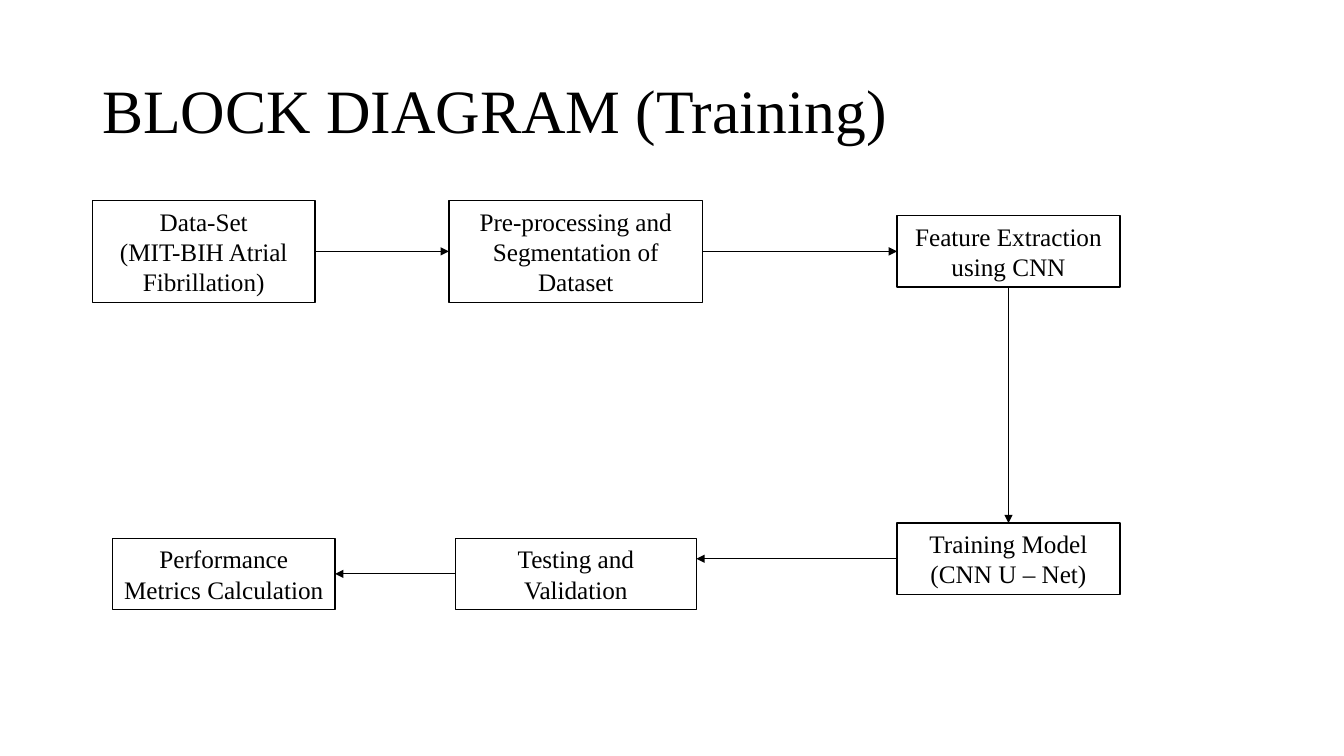
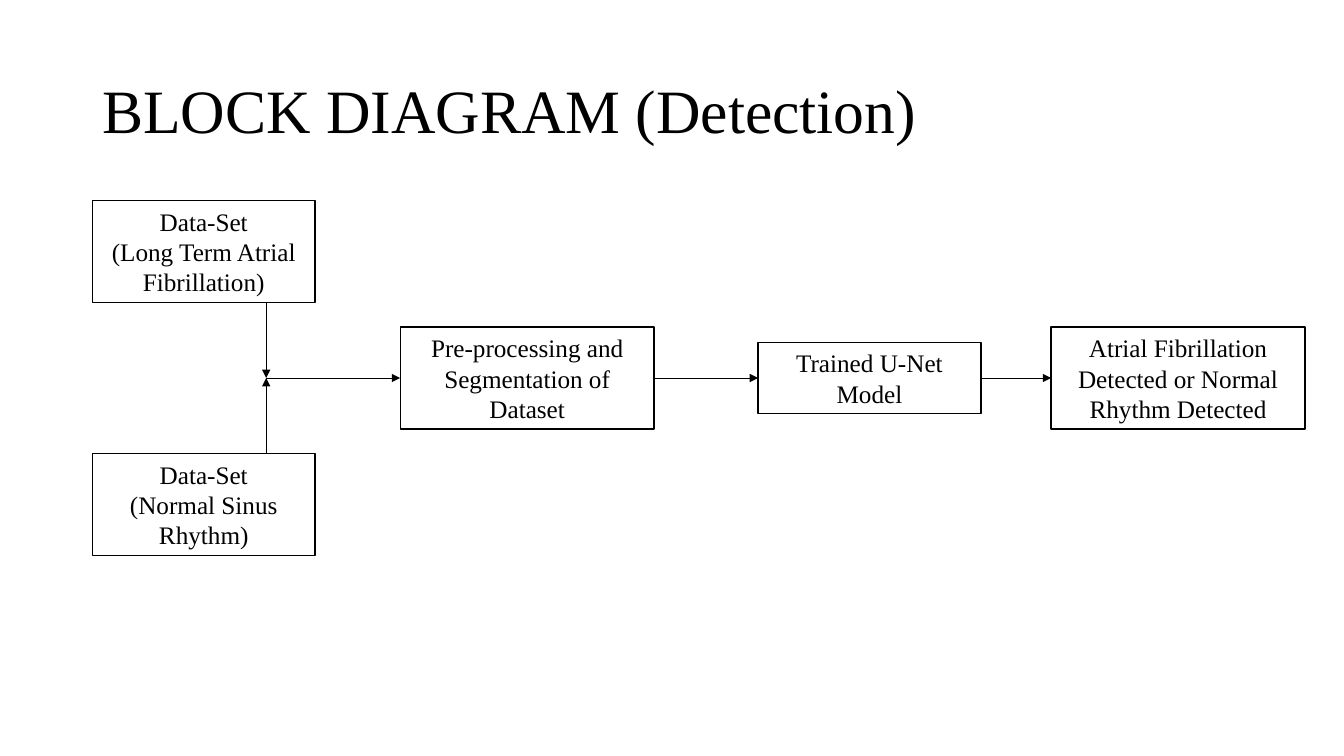
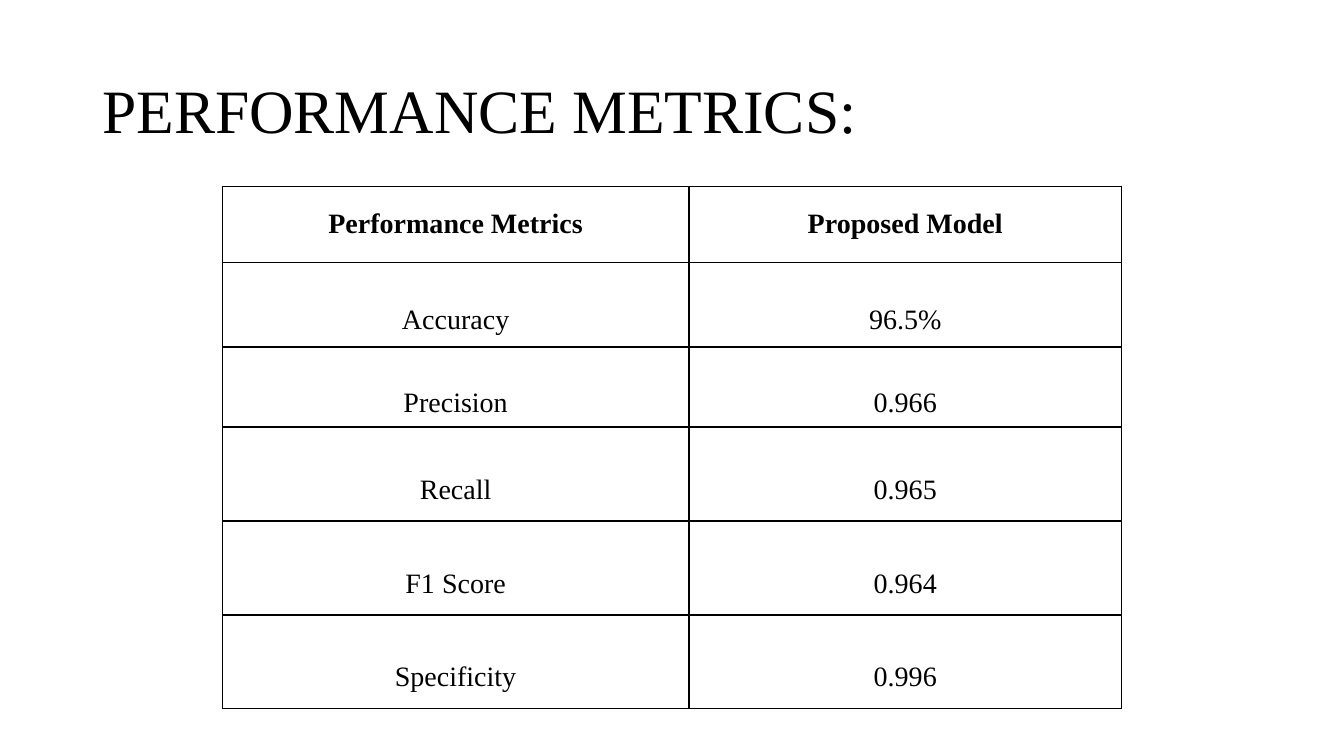
from dataclasses import dataclass
from typing import Any, NamedTuple, Union

from lxml.etree import SubElement
from pptx import Presentation
from pptx.dml.color import RGBColor
from pptx.enum.shapes import MSO_CONNECTOR, MSO_SHAPE
from pptx.enum.text import MSO_ANCHOR, MSO_AUTO_SIZE, PP_ALIGN
from pptx.oxml.ns import qn
from pptx.slide import Slide
from pptx.util import Pt


# Theme
@dataclass(frozen=True)
class Theme:
    ink: RGBColor = RGBColor(0, 0, 0)
    paper: RGBColor = RGBColor(255, 255, 255)
    font: str = "Times New Roman"
    title_size: float = 44
    box_size: float = 18
    table_size: float = 20
    border: float = 1
    arrow: float = 0.5


THEME = Theme()
TOP, LEFT, BOTTOM, RIGHT = range(4)
NARROW, MEDIUM, WIDE = 159.1, 172.1, 181.4
TWO_LINES, THREE_LINES = 50.9, 72.7


class Box(NamedTuple):
    text: str
    left: float
    middle: float
    width: float
    height: float


class Side(NamedTuple):
    box: str
    index: int


class Point(NamedTuple):
    x: float
    y: float


class Arrow(NamedTuple):
    start: Union[Side, Point]
    end: Union[Side, Point]


@dataclass(frozen=True)
class Diagram:
    title: str
    boxes: dict[str, Box]
    arrows: list[Arrow]


# Content
TOP_ROW, TRAINING_ROW, TESTING_ROW = 179.6, 399.1, 409.9
TRAINING = Diagram(
    "BLOCK DIAGRAM (Training)",
    {
        "data": Box("Data-Set\n(MIT-BIH Atrial Fibrillation)", 66, TOP_ROW, NARROW, THREE_LINES),
        "model": Box("Training Model\n(CNN U – Net)", 640.8, TRAINING_ROW, NARROW, TWO_LINES),
        "features": Box("Feature Extraction using CNN", 640.8, TOP_ROW, NARROW, TWO_LINES),
        "segments": Box("Pre-processing and Segmentation of Dataset",
                        320.6, TOP_ROW, WIDE, THREE_LINES),
        "testing": Box("Testing and Validation", 325.3, TESTING_ROW, MEDIUM, TWO_LINES),
        "metrics": Box("Performance Metrics Calculation", 80.3, TESTING_ROW, NARROW, TWO_LINES),
    },
    [
        Arrow(Side("data", RIGHT), Side("segments", LEFT)),
        Arrow(Side("segments", RIGHT), Side("features", LEFT)),
        Arrow(Side("features", BOTTOM), Side("model", TOP)),
        Arrow(Side("model", LEFT), Point(325.3 + MEDIUM, TRAINING_ROW)),
        Arrow(Side("testing", LEFT), Side("metrics", RIGHT)),
    ],
)

CENTRE, SPREAD = 270, 90.4
JUNCTION = Point(190.2, CENTRE)
DATA_EDGE = SPREAD - THREE_LINES / 2
DETECTION = Diagram(
    "BLOCK DIAGRAM (Detection)",
    {
        "fibrillation": Box("Data-Set\n(Long Term Atrial Fibrillation)",
                            66, CENTRE - SPREAD, NARROW, THREE_LINES),
        "normal": Box("Data-Set\n(Normal Sinus Rhythm)",
                      66, CENTRE + SPREAD, NARROW, THREE_LINES),
        "model": Box("Trained U-Net Model", 541.5, CENTRE, NARROW, TWO_LINES),
        "segments": Box("Pre-processing and Segmentation of Dataset",
                        285.9, CENTRE, WIDE, THREE_LINES),
        "result": Box("Atrial Fibrillation Detected or Normal Rhythm Detected",
                      750.8, CENTRE, WIDE, THREE_LINES),
    },
    [
        Arrow(JUNCTION, Side("segments", LEFT)),
        Arrow(Point(JUNCTION.x, CENTRE - DATA_EDGE), JUNCTION),
        Arrow(Point(JUNCTION.x, CENTRE + DATA_EDGE), JUNCTION),
        Arrow(Side("segments", RIGHT), Side("model", LEFT)),
        Arrow(Side("model", RIGHT), Side("result", LEFT)),
    ],
)

METRICS = [
    ("Performance Metrics", "Proposed Model"),
    ("Accuracy", "96.5%"),
    ("Precision", "0.966"),
    ("Recall", "0.965"),
    ("F1 Score", "0.964"),
    ("Specificity", "0.996"),
]
COLUMN_WIDTHS = [333.4, 308.9]
ROW_HEIGHTS = [54.3, 60.6, 57.2, 67.1, 67.1, 67.1]


# Formatting
def apply_format(target: Any, values: dict[str, Any]) -> None:
    for name, value in values.items():
        setattr(target, name, value)


def write_text(frame: Any, text: str, size: float, alignment: PP_ALIGN,
               spacing: float = 1.0, bold: bool = False) -> None:
    frame.text = text
    for paragraph in frame.paragraphs:
        apply_format(paragraph, {"alignment": alignment, "line_spacing": spacing})
        apply_format(paragraph.font, {"name": THEME.font, "size": Pt(size), "bold": bold})
        paragraph.font.color.rgb = THEME.ink


def format_line(line: Any, width: float) -> None:
    line.color.rgb = THEME.ink
    line.width = Pt(width)


# Slide parts
def add_titled_slide(presentation: Any, title: str) -> Slide:
    slide = presentation.slides.add_slide(presentation.slide_layouts[6])
    frame = slide.shapes.add_textbox(Pt(66), Pt(28.8), Pt(828), Pt(104.4)).text_frame
    apply_format(frame, {"word_wrap": True, "vertical_anchor": MSO_ANCHOR.MIDDLE})
    write_text(frame, title, THEME.title_size, PP_ALIGN.LEFT, 0.9)
    return slide


def add_box(slide: Slide, box: Box) -> Any:
    shape = slide.shapes.add_shape(
        MSO_SHAPE.RECTANGLE, Pt(box.left), Pt(box.middle - box.height / 2),
        Pt(box.width), Pt(box.height))
    shape.shadow.inherit = False
    shape.fill.solid()
    shape.fill.fore_color.rgb = THEME.paper
    format_line(shape.line, THEME.border)
    apply_format(shape.text_frame, {
        "word_wrap": True,
        "auto_size": MSO_AUTO_SIZE.SHAPE_TO_FIT_TEXT,
        "vertical_anchor": MSO_ANCHOR.MIDDLE,
    })
    write_text(shape.text_frame, box.text, THEME.box_size, PP_ALIGN.CENTER)
    return shape


def add_arrow(slide: Slide, arrow: Arrow, shapes: dict[str, Any]) -> None:
    ends = [Point(0, 0) if isinstance(end, Side) else end for end in arrow]
    connector = slide.shapes.add_connector(
        MSO_CONNECTOR.STRAIGHT, *(Pt(length) for end in ends for length in end))
    for end, connect in zip(arrow, (connector.begin_connect, connector.end_connect)):
        if isinstance(end, Side):
            connect(shapes[end.box], end.index)
    format_line(connector.line, THEME.arrow)
    properties = connector.element.spPr
    SubElement(properties.find(qn("a:ln")), qn("a:tailEnd"), type="triangle")
    SubElement(properties, qn("a:effectLst"))


def add_diagram(presentation: Any, diagram: Diagram) -> None:
    slide = add_titled_slide(presentation, diagram.title)
    shapes = {name: add_box(slide, box) for name, box in diagram.boxes.items()}
    for arrow in diagram.arrows:
        add_arrow(slide, arrow, shapes)


def format_cell(cell: Any, text: str, header: bool) -> None:
    apply_format(cell, {
        "vertical_anchor": MSO_ANCHOR.MIDDLE,
        "margin_left": Pt(5), "margin_right": Pt(5),
        "margin_top": 0, "margin_bottom": 0,
    })
    write_text(cell.text_frame, text, THEME.table_size, PP_ALIGN.CENTER,
               1.0 if header else 2.0, header)
    properties = cell._tc.get_or_add_tcPr()
    for edge in ("a:lnL", "a:lnR", "a:lnT", "a:lnB"):
        border = SubElement(properties, qn(edge), w=str(Pt(THEME.border)))
        fill = SubElement(border, qn("a:solidFill"))
        SubElement(fill, qn("a:srgbClr"), val=str(THEME.ink))
    cell.fill.background()


def add_metrics(presentation: Any) -> None:
    slide = add_titled_slide(presentation, "PERFORMANCE METRICS:")
    table = slide.shapes.add_table(
        len(METRICS), len(COLUMN_WIDTHS), Pt(158.8), Pt(133),
        Pt(sum(COLUMN_WIDTHS)), Pt(sum(ROW_HEIGHTS))).table
    apply_format(table, {"first_row": False, "horz_banding": False})
    for column, width in zip(table.columns, COLUMN_WIDTHS):
        column.width = Pt(width)
    for index, (row, height) in enumerate(zip(table.rows, ROW_HEIGHTS)):
        row.height = Pt(height)
        for cell, text in zip(row.cells, METRICS[index]):
            format_cell(cell, text, header=index == 0)


def main() -> None:
    presentation = Presentation()
    apply_format(presentation, {"slide_width": Pt(960), "slide_height": Pt(540)})
    for diagram in (TRAINING, DETECTION):
        add_diagram(presentation, diagram)
    add_metrics(presentation)
    presentation.save("out.pptx")


if __name__ == "__main__":
    main()
